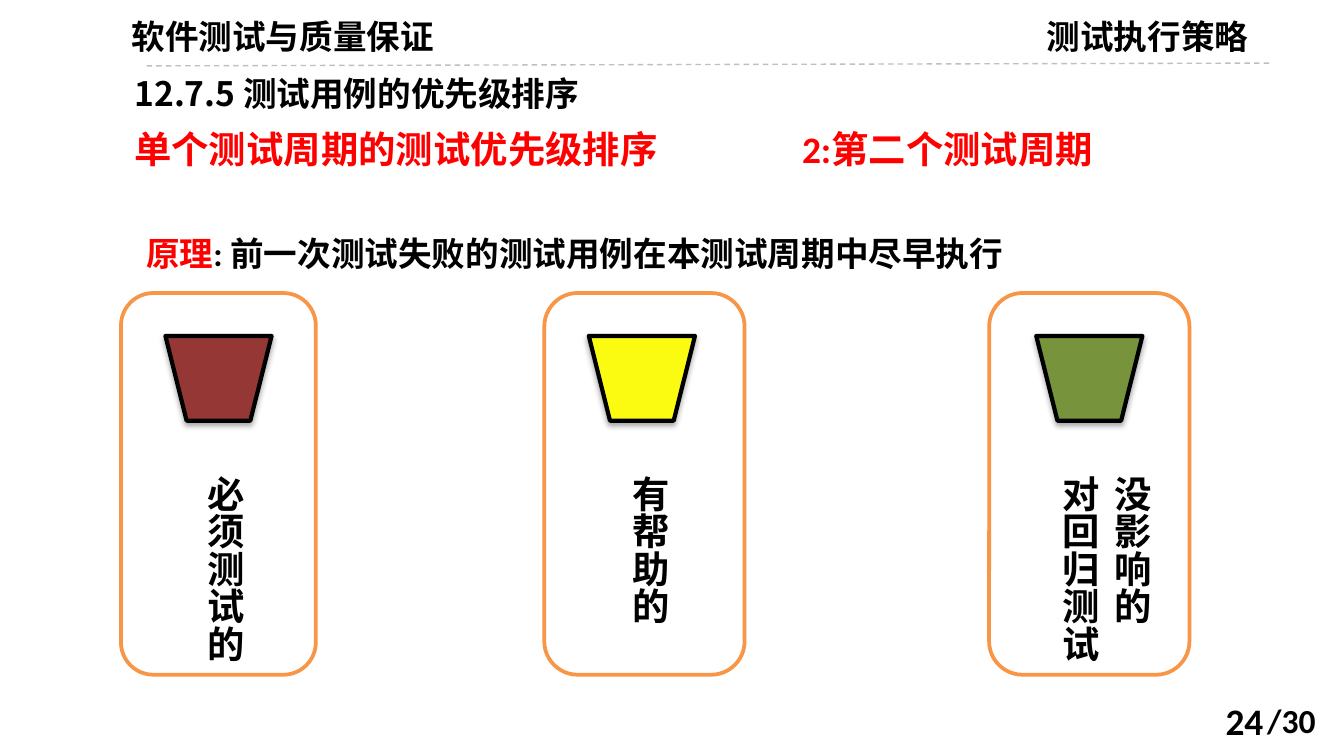
from dataclasses import dataclass

from lxml.etree import SubElement
from pptx import Presentation
from pptx.dml.color import RGBColor
from pptx.enum.dml import MSO_LINE_DASH_STYLE as Dash
from pptx.enum.shapes import MSO_CONNECTOR as Connector, MSO_SHAPE as Shape
from pptx.enum.text import MSO_ANCHOR as Anchor, MSO_AUTO_SIZE as AutoSize, PP_ALIGN as Align
from pptx.oxml.ns import qn
from pptx.util import Pt

BLACK, RED, ORANGE, GREY = "000000", "FF0000", "F79646", "BFBFBF"
LATIN, CJK = "Calibri", "Noto Sans CJK SC"
CARD_TOP, CARD_H = 157, 204.5
BUCKET_TOP, BUCKET_W, BUCKET_H = 180, 56.9, 45.4
LABEL_TOP, LABEL_W, LABEL_H = 247.7, 38.9, 114.5


@dataclass
class Box:
    left: float
    top: float
    width: float
    height: float


@dataclass
class Run:
    text: str
    size: float = 18
    color: str = BLACK
    font: str = LATIN


@dataclass
class Label:
    left: float
    text: str


@dataclass
class Card:
    left: float
    width: float
    bucket_left: float
    color: str
    labels: list[Label]


CARDS = [
    Card(64.8, 104.4, 88.6, "953735", [Label(97.2, "必须测试的")]),
    Card(291.6, 107.3, 315.4, "FBFB11", [Label(324.7, "有帮助的")]),
    Card(529.9, 107.3, 555.1, "77933C",
         [Label(555.1, "对回归测试"), Label(583.2, "没影响的")]),
]


def rgb(value: str) -> RGBColor:
    return RGBColor.from_string(value)


def place(sp, box: Box) -> None:
    sp.left, sp.top = Pt(box.left), Pt(box.top)
    sp.width, sp.height = Pt(box.width), Pt(box.height)


def write(sp, runs: list[Run], align=Align.LEFT, anchor=Anchor.TOP) -> None:
    tf = sp.text_frame
    tf.word_wrap = True
    tf.auto_size = AutoSize.NONE
    tf.vertical_anchor = anchor
    p = tf.paragraphs[0]
    p.alignment = align
    for run in runs:
        r = p.add_run()
        r.text = run.text
        r.font.name, r.font.size, r.font.bold = run.font, Pt(run.size), True
        r.font.color.rgb = rgb(run.color)


def add_text(s, box: Box, runs: list[Run], align=Align.LEFT,
             anchor=Anchor.TOP, vertical: bool = False) -> None:
    sp = s.shapes.add_textbox(0, 0, 0, 0)
    place(sp, box)
    write(sp, runs, align, anchor)
    if vertical:
        sp.text_frame._txBody.bodyPr.set("vert", "eaVert")


def add_shape(s, kind, box: Box, line: str, weight: float, fill: str | None = None):
    sp = s.shapes.add_shape(kind, 0, 0, 0, 0)
    place(sp, box)
    sp.shadow.inherit = False
    if fill:
        sp.fill.solid()
        sp.fill.fore_color.rgb = rgb(fill)
    else:
        sp.fill.background()
    sp.line.color.rgb = rgb(line)
    sp.line.width = Pt(weight)
    return sp


def add_shadow(sp) -> None:
    effects = sp._element.spPr.find(qn("a:effectLst"))
    shadow = SubElement(effects, qn("a:outerShdw"), blurRad=str(Pt(3.1)),
                        dist=str(Pt(1.8)), dir="5400000", rotWithShape="0")
    color = SubElement(shadow, qn("a:srgbClr"), val=BLACK)
    SubElement(color, qn("a:alpha"), val="35000")


def add_rule(s, x1: float, y1: float, x2: float, y2: float) -> None:
    line = s.shapes.add_connector(Connector.STRAIGHT, Pt(x1), Pt(y1), Pt(x2), Pt(y2))
    line.line.color.rgb = rgb(GREY)
    line.line.width = Pt(0.75)
    line.line.dash_style = Dash.DASH
    SubElement(line._element.spPr, qn("a:effectLst"))


def main() -> None:
    prs = Presentation()
    prs.slide_width, prs.slide_height = Pt(720), Pt(405)
    s = prs.slides.add_slide(prs.slide_layouts[5])

    # Running header
    add_text(s, Box(44.6, 5, 213.8, 29), [Run("软件测试与质量保证", font=CJK)], Align.CENTER)
    add_text(s, Box(553.7, 5, 272, 29), [Run("测试执行策略")])
    add_rule(s, 78.5, 35.3, 681.8, 33.8)

    # Title and subtitles
    title = s.shapes.title
    place(title, Box(64.8, 35.3, 521.3, 29))
    write(title, [Run("12.7.5 测试用例的优先级排序", font=CJK)])
    add_text(s, Box(64.8, 64, 320.4, 31.7), [Run("单个测试周期的测试优先级排序", 20, RED)])
    add_text(s, Box(422.6, 64, 320.4, 31.7), [Run("2:第二个测试周期", 20, RED)])

    # Principle
    add_text(s, Box(71.3, 121, 594.7, 29), [
        Run("原理", color=RED),
        Run(": 前一次测试失败的测试用例在本测试周期中尽早执行"),
    ])

    # Priority cards, each with a bucket and vertical labels
    for card in CARDS:
        bucket = add_shape(s, Shape.FLOWCHART_MANUAL_OPERATION,
                           Box(card.bucket_left, BUCKET_TOP, BUCKET_W, BUCKET_H),
                           BLACK, 2.25, card.color)
        add_shadow(bucket)
        for label in card.labels:
            add_text(s, Box(label.left, LABEL_TOP, LABEL_W, LABEL_H),
                     [Run(label.text, 20)], vertical=True)
        add_shape(s, Shape.ROUNDED_RECTANGLE,
                  Box(card.left, CARD_TOP, card.width, CARD_H), ORANGE, 2)

    # Page number
    add_text(s, Box(516.2, 375.1, 167.8, 21.6), [Run("24", 20)], Align.RIGHT, Anchor.MIDDLE)
    add_text(s, Box(671.8, 371.5, 47.5, 29), [Run("/30")])

    prs.save("out.pptx")


if __name__ == "__main__":
    main()
